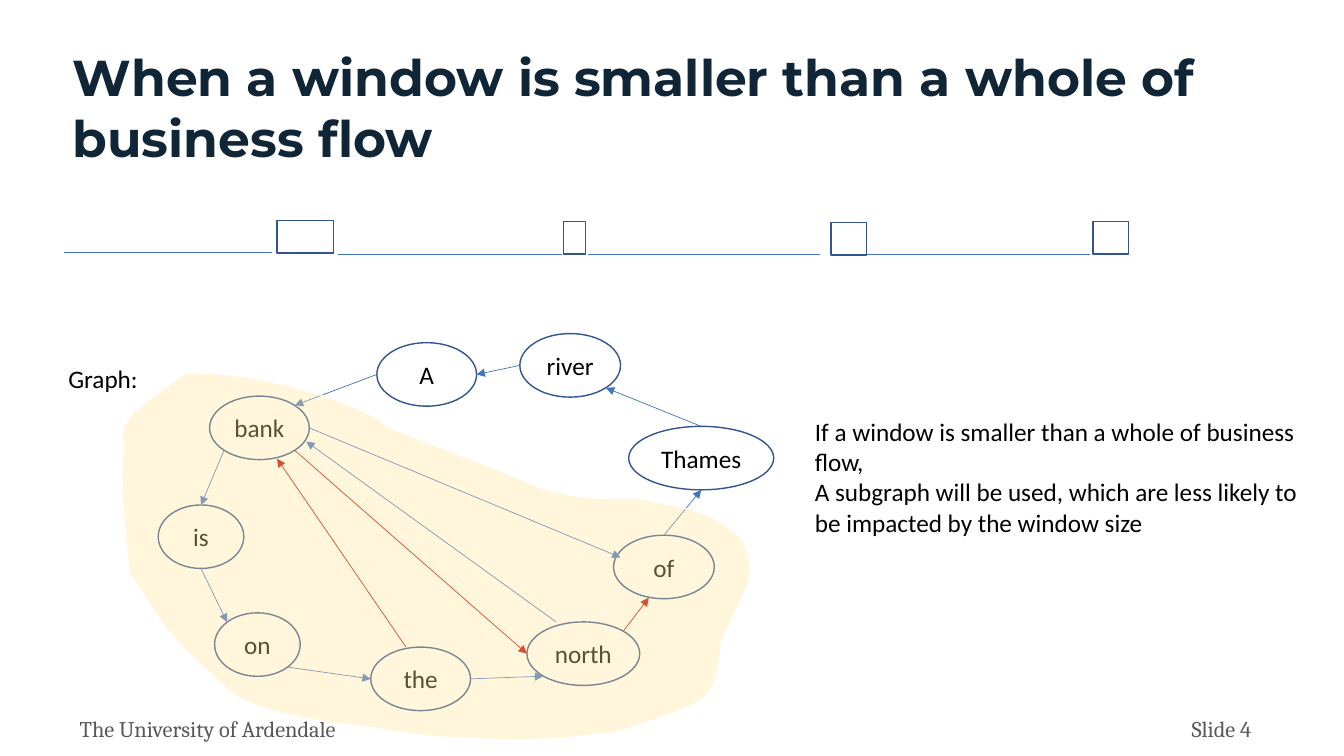
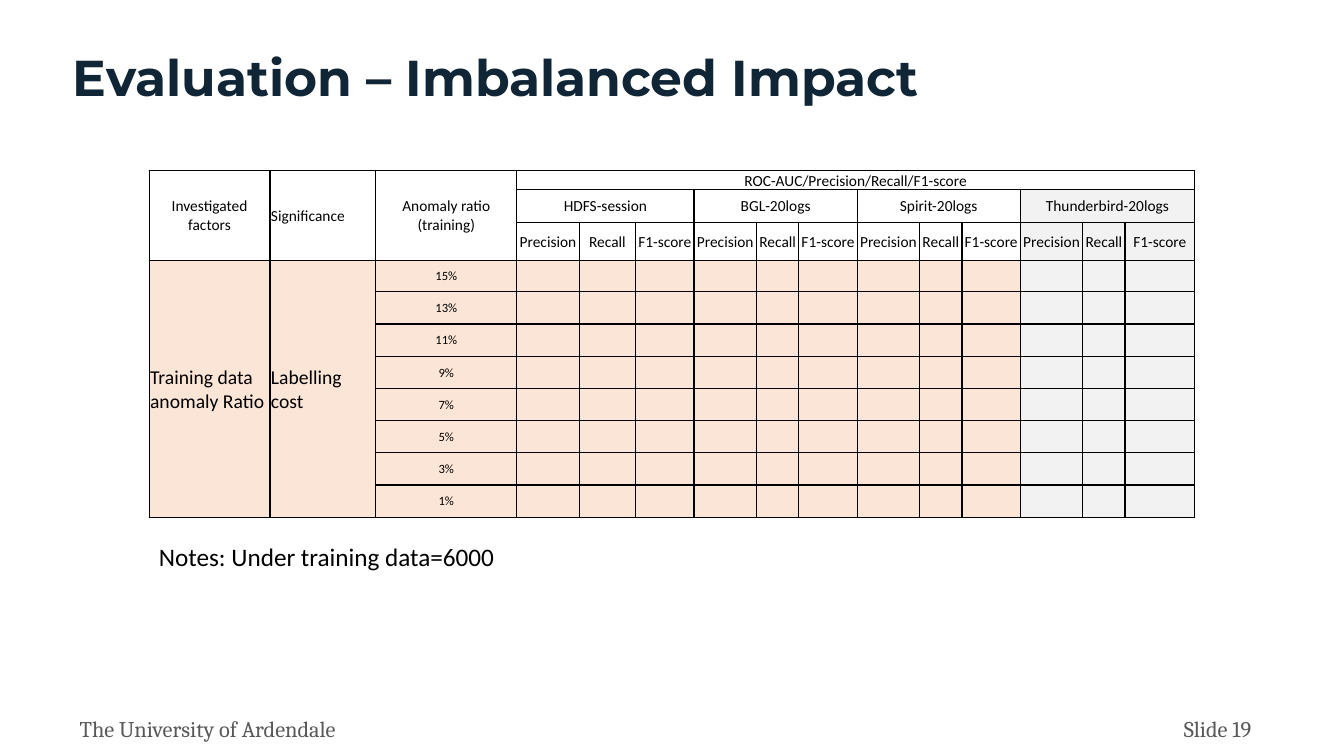
from itertools import product

from lxml.etree import SubElement
from pptx import Presentation
from pptx.dml.color import RGBColor
from pptx.enum.shapes import MSO_CONNECTOR as Link, MSO_SHAPE as Preset
from pptx.enum.text import MSO_ANCHOR as Anchor, MSO_AUTO_SIZE as Fit, PP_ALIGN as Align
from pptx.oxml.ns import qn
from pptx.util import Inches, Pt

NAVY, GREY, BLACK, WHITE = "102535", "595959", "000000", "FFFFFF"
OUTLINE, BLUE, RED, AMBER = "325491", "4472C4", "C00000", "FFE699"
PEACH, PALE = "FBE5D6", "F2F2F2"
TITLE = {"name": "Montserrat", "size": Pt(36), "bold": True}
FOOTER = {"name": "Cambria", "size": Pt(16)}
BODY = {"name": "Calibri", "size": Pt(18)}
MARGINS = ("margin_left", "margin_top", "margin_right", "margin_bottom")

NODE_HEIGHT = 0.63
NODES = {
    "bank": (0.88, 0.62, 0.99), "is": (0.37, 1.7, 0.85), "on": (0.93, 2.77, 0.85),
    "north": (4.03, 2.86, 1.12), "the": (2.48, 3.11, 0.99), "of": (4.89, 2, 1),
    "A": (2.54, 0.09, 0.99), "Thames": (5.04, 0.92, 1.44), "river": (3.96, 0, 1),
}
DIAGONAL = 0.71
SITES = {
    "top": (0, 0, -1), "top left": (1, -DIAGONAL, -DIAGONAL),
    "left": (2, -1, 0), "bottom left": (3, -DIAGONAL, DIAGONAL),
    "bottom": (4, 0, 1), "bottom right": (5, DIAGONAL, DIAGONAL),
    "right": (6, 1, 0), "top right": (7, DIAGONAL, -DIAGONAL),
}
ARROWS = [
    (("bank", "bottom left"), ("is", "top"), BLUE),
    (("is", "bottom"), ("on", "top left"), BLUE),
    (("on", "bottom right"), ("the", "left"), BLUE),
    (("the", "right"), ("north", "bottom left"), BLUE),
    (("bank", "right"), (4.96, 2.22), BLUE),
    (("A", "left"), ("bank", "top right"), BLUE),
    (("of", "top"), ("Thames", "bottom"), BLUE),
    ((4.32, 2.86), (1.84, 1.07), BLUE),
    (("Thames", "top"), ("river", "bottom right"), BLUE),
    (("river", "left"), ("A", "right"), BLUE),
    ((2.83, 3.11), (1.55, 1.24), RED),
    (("bank", "bottom right"), ("north", "left"), RED),
    (("north", "top right"), (5.24, 2.62), RED),
]
SUBGRAPH = [
    (0.01, 1.47), (0.07, 2.28), (0.14, 2.46), (0.47, 2.95), (0.83, 3.32),
    (1.17, 3.61), (1.62, 3.77), (2.16, 3.87), (2.49, 3.91), (3.02, 3.99),
    (3.78, 4.03), (4.3, 4.02), (4.77, 3.97), (4.94, 3.95), (5.7, 3.67),
    (5.9, 3.43), (5.97, 3.05), (6.09, 2.79), (6.22, 2.5), (6.25, 2.37),
    (6.19, 2.08), (6.04, 1.93), (5.84, 1.81), (5.58, 1.73), (5.16, 1.64),
    (4.7, 1.63), (4.24, 1.55), (3.69, 1.33), (2.72, 0.95), (2.53, 0.83),
    (2.19, 0.68), (1.86, 0.57), (1.59, 0.5), (1.18, 0.42), (0.75, 0.39),
    (0.59, 0.43), (0.3, 0.64), (0.09, 0.82), (0.01, 1), (0.03, 1.13),
]
LOG_LINES = [(0, 2.06, 0.31), (2.71, 4.94, 0.33), (5.2, 7.5, 0.33), (7.97, 10.18, 0.33)]
WINDOWS = [(2.11, 0, 0.56), (4.95, 0.01, 0.22), (7.61, 0.02, 0.35), (10.21, 0.01, 0.35)]

COLUMNS = [1.2, 1.05, 1.4, 0.62, 0.56, 0.58, 0.62, 0.42, 0.58,
           0.62, 0.42, 0.58, 0.62, 0.42, 0.69]
ROWS = [0.17, 0.32, 0.38, 0.2] + [0.32] * 7
DATASETS = ["HDFS-session", "BGL-20logs", "Spirit-20logs", "Thunderbird-20logs"]
METRICS = ["Precision", "Recall", "F1-score"]
RATIOS = ["15%", "13%", "11%", "9%", "7%", "5%", "3%", "1%"]
FIRST_SCORE, FIRST_PALE, FIRST_DATA = 3, 12, 3


def color(text):
    """Turn a hex string into a colour."""
    return RGBColor.from_string(text)


def apply(target, values):
    """Set every attribute named in a dict of format values."""
    for name, value in values.items():
        setattr(target, name, value)


def write(frame, lines, style, ink=BLACK, align=Align.LEFT):
    """Fill a text frame with one paragraph per line."""
    for index, line in enumerate(lines):
        para = frame.add_paragraph() if index else frame.paragraphs[0]
        para.alignment = align
        span = para.add_run()
        span.text = line
        apply(span.font, style)
        span.font.color.rgb = color(ink)


def add_text(page, box, lines, style=BODY, ink=BLACK, align=Align.LEFT, inset=True):
    """Add a wrapped text box."""
    frame = page.shapes.add_textbox(*map(Inches, box)).text_frame
    frame.word_wrap = True
    if not inset:
        apply(frame, dict.fromkeys(MARGINS, 0))
    write(frame, lines, style, ink, align)


def add_outlined(page, preset, box, fill=None):
    """Add a preset shape with the thin dark blue outline."""
    shape = page.shapes.add_shape(preset, *map(Inches, box))
    shape.shadow.inherit = False
    if fill:
        shape.fill.solid()
        shape.fill.fore_color.rgb = color(fill)
    else:
        shape.fill.background()
    shape.line.color.rgb = color(OUTLINE)
    shape.line.width = Pt(1)
    return shape


def add_line(page, start, end, ink=BLUE, arrow=False):
    """Add a hairline connector, with an arrowhead on request."""
    line = page.shapes.add_connector(Link.STRAIGHT, *map(Inches, (*start, *end)))
    line.line.color.rgb = color(ink)
    line.line.width = Pt(0.5)
    properties = line.element.spPr
    if arrow:
        SubElement(properties.find(qn("a:ln")), qn("a:tailEnd"), type="triangle")
    SubElement(properties, qn("a:effectLst"))
    return line


def start_page(deck, title, number, title_height):
    """Add a page with its title and footer."""
    page = deck.slides.add_slide(deck.slide_layouts[5])
    heading = page.shapes.title
    box = (0.62, 0.41, 12.1, title_height)
    apply(heading, dict(zip(("left", "top", "width", "height"), map(Inches, box))))
    apply(heading.text_frame, {"word_wrap": True, "auto_size": Fit.NONE,
                               "vertical_anchor": Anchor.TOP})
    write(heading.text_frame, [title], TITLE, NAVY)
    for left, width, text, align in (
            (0.79, 5.25, "The University of Ardendale", Align.LEFT),
            (9.79, 2.63, f"Slide {number}", Align.RIGHT)):
        add_text(page, (left, 7.09, width, 0.2), [text], FOOTER, GREY, align, inset=False)
    return page


def add_window_strip(page, left, top):
    """Draw the log lines with the windows between them."""
    for start, end, drop in LOG_LINES:
        add_line(page, (left + start, top + drop), (left + end, top + drop))
    for x, y, width in WINDOWS:
        add_outlined(page, Preset.RECTANGLE, (left + x, top + y, width, 0.32))


def locate(end):
    """Give the point of an arrow end, either a node site or a plain point."""
    if end[0] not in NODES:
        return end
    x, y, width = NODES[end[0]]
    _, across, down = SITES[end[1]]
    return x + width / 2 * (1 + across), y + NODE_HEIGHT / 2 * (1 + down)


def smooth_outline(points, steps=5):
    """Round a closed outline with a Catmull-Rom curve."""
    count = len(points)
    curve = []
    for index, step in product(range(count), range(steps)):
        t = step / steps
        corners = [points[(index + shift) % count] for shift in (-1, 0, 1, 2)]
        curve.append(tuple(
            b + t / 2 * (c - a + t * (2 * a - 5 * b + 4 * c - d + t * (3 * (b - c) + d - a)))
            for a, b, c, d in zip(*corners)))
    return curve


def add_subgraph(page, left, top):
    """Lay the translucent area over the chosen nodes."""
    points = [(Inches(left + x), Inches(top + y)) for x, y in smooth_outline(SUBGRAPH)]
    builder = page.shapes.build_freeform(*points[0])
    builder.add_line_segments(points[1:], close=True)
    area = builder.convert_to_shape()
    area.shadow.inherit = False
    area.fill.solid()
    area.fill.fore_color.rgb = color(AMBER)
    tint = area.element.spPr.find(qn("a:solidFill")).find(qn("a:srgbClr"))
    SubElement(tint, qn("a:alpha"), val="35000")
    area.line.color.rgb = color(WHITE)
    area.line.width = Pt(1)


def add_graph(page, left, top):
    """Draw the word graph: nodes, arrows and the marked subgraph."""
    ovals = {}
    for word, (x, y, width) in NODES.items():
        oval = add_outlined(page, Preset.OVAL, (left + x, top + y, width, NODE_HEIGHT), WHITE)
        oval.text_frame.vertical_anchor = Anchor.MIDDLE
        write(oval.text_frame, [word], BODY, align=Align.CENTER)
        ovals[word] = oval
    for start, end, ink in ARROWS:
        points = [(left + x, top + y) for x, y in map(locate, (start, end))]
        arrow = add_line(page, *points, ink, arrow=True)
        joints = arrow.element.find(qn("p:nvCxnSpPr")).find(qn("p:cNvCxnSpPr"))
        for tag, spot in (("a:stCxn", start), ("a:endCxn", end)):
            if spot[0] in ovals:
                SubElement(joints, qn(tag), id=str(ovals[spot[0]].shape_id),
                           idx=str(SITES[spot[1]][0]))
    add_subgraph(page, left, top)


def format_cell(cell, fill):
    """Give a cell its margins, fill and black borders."""
    apply(cell, dict(zip(MARGINS, map(Inches, (0.01, 0.01, 0.01, 0)))))
    cell.vertical_anchor = Anchor.MIDDLE
    properties = cell._tc.get_or_add_tcPr()
    for side in ("L", "R", "T", "B"):
        border = SubElement(properties, qn(f"a:ln{side}"), w=str(Pt(1)))
        paint = SubElement(border, qn("a:solidFill"))
        SubElement(paint, qn("a:srgbClr"), val=BLACK)
    cell.fill.solid()
    cell.fill.fore_color.rgb = color(fill)


def add_score_table(page, left, top):
    """Build the table of scores by anomaly ratio and dataset."""
    box = (left, top, sum(COLUMNS), sum(ROWS))
    table = page.shapes.add_table(len(ROWS), len(COLUMNS), *map(Inches, box)).table
    apply(table, {"first_row": False, "horz_banding": False})
    for column, width in zip(table.columns, COLUMNS):
        column.width = Inches(width)
    for row, height in zip(table.rows, ROWS):
        row.height = Inches(height)
    for row, column in product(range(len(ROWS)), range(len(COLUMNS))):
        if column >= FIRST_PALE and row:
            fill = PALE
        else:
            fill = PEACH if row >= FIRST_DATA else WHITE
        format_cell(table.cell(row, column), fill)

    def put(row, column, lines, size=11, align=Align.CENTER, rows=1, columns=1):
        """Write a cell and merge it over its span."""
        cell = table.cell(row, column)
        if rows * columns > 1:
            cell.merge(table.cell(row + rows - 1, column + columns - 1))
        write(cell.text_frame, lines, {**BODY, "size": Pt(size)}, align=align)

    put(0, 0, ["Investigated factors"], rows=FIRST_DATA)
    put(0, 1, ["Significance"], align=Align.LEFT, rows=FIRST_DATA)
    put(0, 2, ["Anomaly ratio", "(training)"], rows=FIRST_DATA)
    put(0, FIRST_SCORE, ["ROC-AUC/Precision/Recall/F1-score"],
        columns=len(DATASETS) * len(METRICS))
    for index, dataset in enumerate(DATASETS):
        first = FIRST_SCORE + index * len(METRICS)
        put(1, first, [dataset], columns=len(METRICS))
        for offset, metric in enumerate(METRICS):
            put(2, first + offset, [metric])
    for column, lines in enumerate((["Training data", "anomaly Ratio"], ["Labelling cost"])):
        put(FIRST_DATA, column, lines, 14, Align.LEFT, rows=len(RATIOS))
    for row, ratio in enumerate(RATIOS, FIRST_DATA):
        put(row, 2, [ratio], 9)


def build_window_page(deck):
    """Build the page on small windows."""
    page = start_page(
        deck, "When a window is smaller than a whole of business flow", 4, 1.31)
    add_window_strip(page, 0.64, 2.19)
    add_text(page, (0.58, 3.56, 1.62, 0.4), ["Graph:"])
    add_graph(page, 1.2, 3.31)
    add_text(page, (7.99, 4.08, 5.19, 1.31), [
        "If a window is smaller than a whole of business flow,",
        "A subgraph will be used, which are less likely to be impacted by the window size"])


def build_evaluation_page(deck):
    """Build the page with the score table."""
    page = start_page(deck, "Evaluation – Imbalanced Impact", 19, 0.71)
    add_score_table(page, 1.48, 1.69)
    add_text(page, (1.48, 5.32, 3.94, 0.4), ["Notes: Under training data=6000"])


def main():
    """Build and save the deck."""
    deck = Presentation()
    apply(deck, {"slide_width": Inches(13.34), "slide_height": Inches(7.5)})
    build_window_page(deck)
    build_evaluation_page(deck)
    deck.save("out.pptx")


if __name__ == "__main__":
    main()
